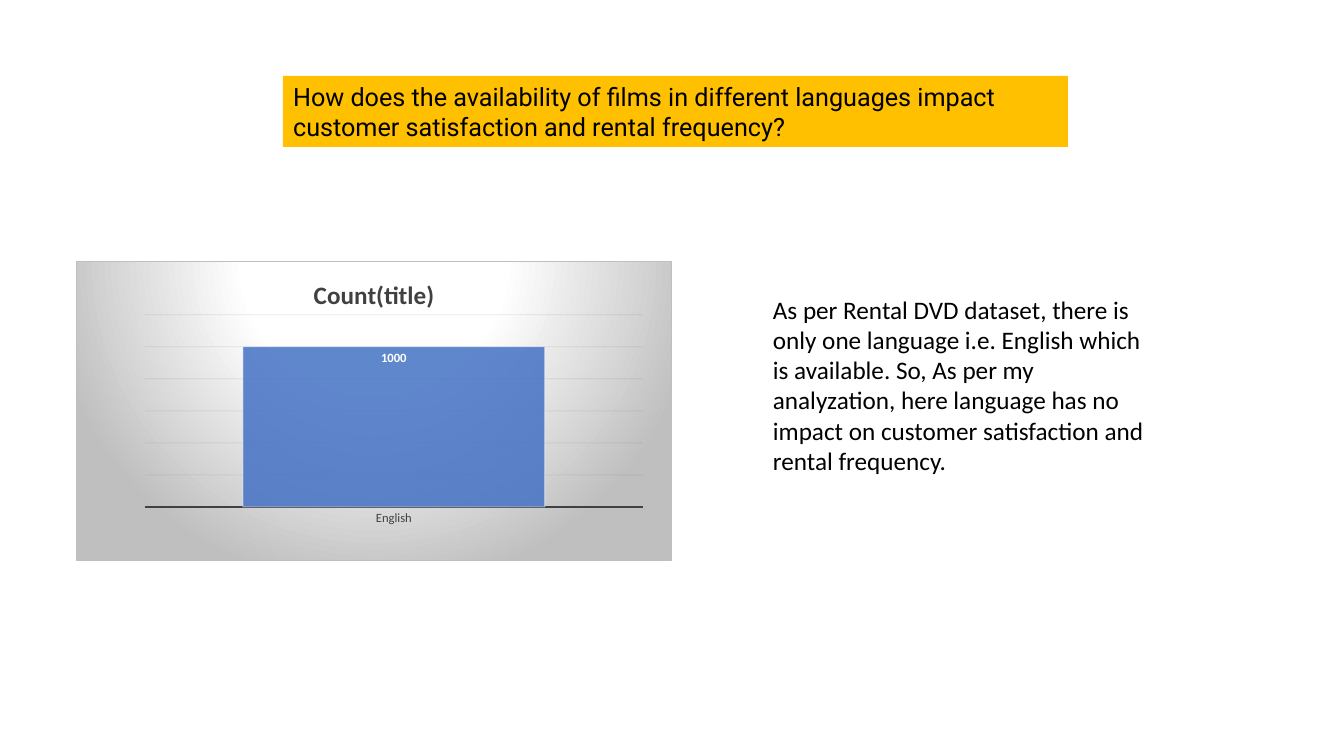
import pptx
import pptx.chart.data
import pptx.dml.color
import pptx.enum.chart
import pptx.enum.text
import pptx.oxml
import pptx.oxml.ns
import pptx.util

PX = 914400 / 100.8
COLOURS = {
    "black": "000000",
    "white": "FFFFFF",
    "amber": "FFC000",
    "bar": "4472C4",
    "ink": "404040",
    "grid": "0D0D0D",
    "grey": "BFBFBF",
}
qn = pptx.oxml.ns.qn


def px(length):
    return pptx.util.Emu(round(length * PX))


def colour(name):
    return pptx.dml.color.RGBColor.from_string(COLOURS[name])


def style_font(font, name, size, shade, bold=False):
    font.name = name
    font.size = pptx.util.Pt(size)
    font.bold = bold
    font.color.rgb = colour(shade)


def style_line(line, shade, width):
    line.color.rgb = colour(shade)
    line.width = pptx.util.Pt(width)


def set_opacity(colour_element, percent):
    alpha = colour_element.makeelement(qn("a:alpha"), {"val": str(percent * 1000)})
    colour_element.append(alpha)


def write_text(shape, text, font_name):
    frame = shape.text_frame
    frame.word_wrap = True
    frame.auto_size = pptx.enum.text.MSO_AUTO_SIZE.NONE
    frame.vertical_anchor = pptx.enum.text.MSO_ANCHOR.TOP
    para = frame.paragraphs[0]
    para.alignment = pptx.enum.text.PP_ALIGN.LEFT
    span = para.add_run()
    span.text = text
    style_font(span.font, font_name, 18, "black")


def add_question(page, left, top, width, height):
    title = page.shapes.title
    title.left, title.top = px(left), px(top)
    title.width, title.height = px(width), px(height)
    title.fill.solid()
    title.fill.fore_color.rgb = colour("amber")
    write_text(title, "How does the availability of films in different languages "
               "impact customer satisfaction and rental frequency?", "Roboto")


def add_answer(page, left, top, width, height):
    box = page.shapes.add_textbox(px(left), px(top), px(width), px(height))
    write_text(box, "As per Rental DVD dataset, there is only one language i.e. "
               "English which is available. So, As per my analyzation, here language "
               "has no impact on customer satisfaction and rental frequency.", "Calibri")


def add_backdrop(chart_space):
    stops = "".join(
        f'<a:gs pos="{position * 1000}"><a:srgbClr val="{COLOURS[shade]}"/></a:gs>'
        for position, shade in ((0, "white"), (39, "white"), (100, "grey")))
    backdrop = pptx.oxml.parse_xml(
        f'<c:spPr {pptx.oxml.ns.nsdecls("c", "a")}>'
        f'<a:gradFill><a:gsLst>{stops}</a:gsLst><a:path path="circle">'
        '<a:fillToRect l="50000" t="-80000" r="50000" b="180000"/></a:path></a:gradFill>'
        f'<a:ln w="9525"><a:solidFill><a:srgbClr val="{COLOURS["grey"]}"/>'
        '</a:solidFill></a:ln></c:spPr>')
    chart_space.find(qn("c:chart")).addnext(backdrop)


def place_plot(chart_space, **fractions):
    plot_area = chart_space.find(qn("c:chart")).find(qn("c:plotArea"))
    for old_layout in plot_area.findall(qn("c:layout")):
        plot_area.remove(old_layout)
    sizes = "".join(f'<c:{key} val="{value}"/>' for key, value in fractions.items())
    plot_area.insert(0, pptx.oxml.parse_xml(
        f'<c:layout {pptx.oxml.ns.nsdecls("c")}><c:manualLayout>'
        '<c:layoutTarget val="inner"/><c:xMode val="edge"/><c:yMode val="edge"/>'
        f'{sizes}</c:manualLayout></c:layout>'))


def add_count_chart(page, left, top, width, height):
    data = pptx.chart.data.CategoryChartData()
    data.categories = ["English"]
    data.add_series("Count(title)", [1000])
    chart = page.shapes.add_chart(
        pptx.enum.chart.XL_CHART_TYPE.COLUMN_CLUSTERED,
        px(left), px(top), px(width), px(height), data).chart
    style_font(chart.font, "Calibri", 10, "black")
    chart.has_legend = False

    # Title
    chart.has_title = True
    span = chart.chart_title.text_frame.paragraphs[0].add_run()
    span.text = "Count(title)"
    style_font(span.font, "Calibri", 18, "ink", bold=True)
    chart.chart_title.include_in_layout = False

    # Axes
    category_axis, value_axis = chart.category_axis, chart.value_axis
    category_axis.major_tick_mark = pptx.enum.chart.XL_TICK_MARK.NONE
    style_font(category_axis.tick_labels.font, "Calibri", 9, "ink")
    style_line(category_axis.format.line, "ink", 1.5)
    value_axis.visible = False
    value_axis.minimum_scale, value_axis.maximum_scale = 0, 1200
    value_axis.major_unit = 200
    style_line(value_axis.major_gridlines.format.line, "grid", 0.75)

    # Column
    plot = chart.plots[0]
    plot.gap_width = 65
    plot.vary_by_categories = False
    series = plot.series[0]
    series.format.fill.solid()
    series.format.fill.fore_color.rgb = colour("bar")
    style_line(series.format.line, "white", 0.75)
    fill_colour, line_colour = list(series._element.iter(qn("a:srgbClr")))
    set_opacity(fill_colour, 85)
    set_opacity(line_colour, 50)
    labels = series.data_labels
    labels.show_value = True
    labels.position = pptx.enum.chart.XL_LABEL_POSITION.INSIDE_END
    style_font(labels.font, "Calibri", 9, "white", bold=True)

    # Faint gridlines, backdrop and plot position
    chart_space = chart._chartSpace
    for gridlines in chart_space.iter(qn("c:majorGridlines")):
        set_opacity(next(gridlines.iter(qn("a:srgbClr"))), 6)
    add_backdrop(chart_space)
    place_plot(chart_space, x=0.115, y=0.178, w=0.837, h=0.643)


def main():
    deck = pptx.Presentation()
    deck.slide_width, deck.slide_height = px(1344), px(756)
    page = deck.slides.add_slide(deck.slide_layouts.get_by_name("Title Only"))
    add_count_chart(page, 76, 261, 596, 300)
    add_question(page, 283, 76, 785, 71)
    add_answer(page, 763, 289, 406, 194)
    deck.save("out.pptx")


if __name__ == "__main__":
    main()
